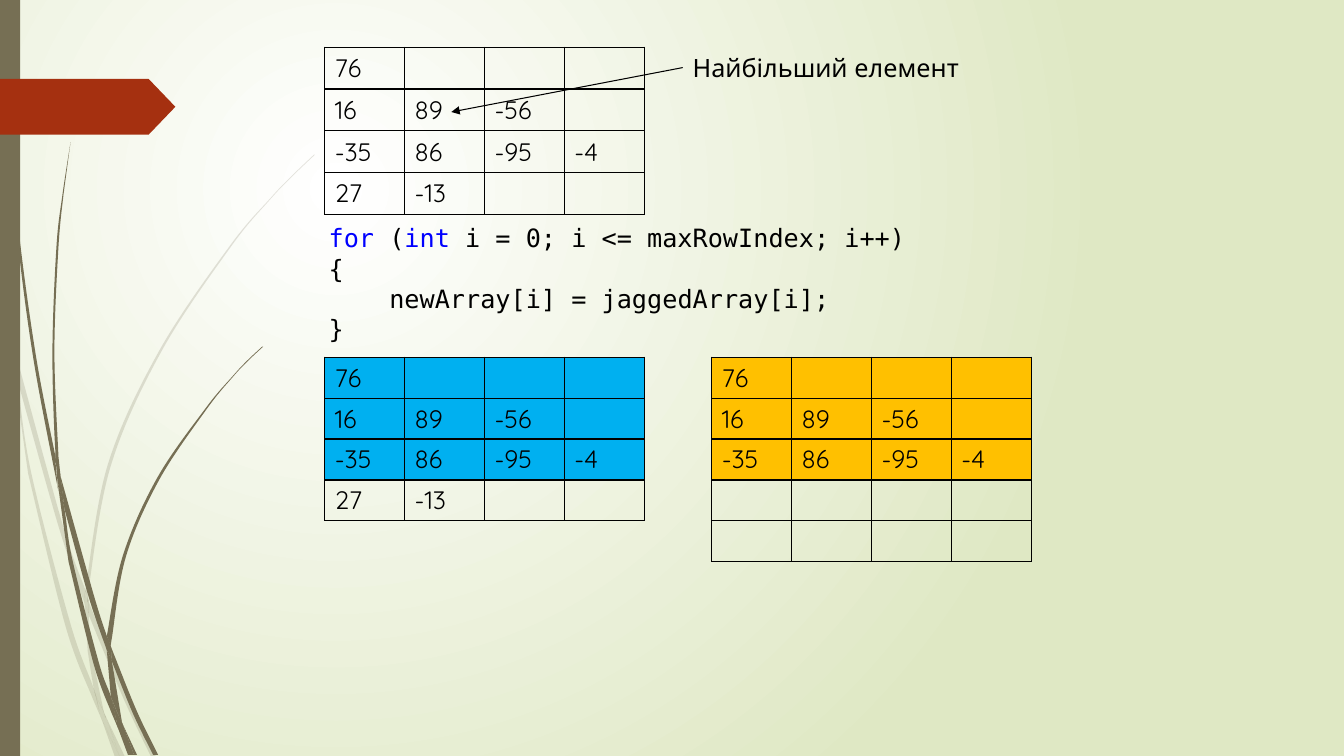
from lxml.etree import SubElement
from pptx import Presentation
from pptx.dml.color import RGBColor
from pptx.enum.shapes import MSO_CONNECTOR as CONN, MSO_SHAPE as SHAPE
from pptx.enum.text import MSO_ANCHOR as ANCHOR, MSO_AUTO_SIZE as AUTO
from pptx.oxml.ns import qn
from pptx.util import Pt

COLORS = {"black": "000000", "keyword": "0000FF", "copied": "00B0F0",
          "pasted": "FFC000", "stem": "766F54", "tag": "A53010",
          "bg_center": "FFFFFF", "bg_edge": "DFE8C4"}
FONT, MONO = "Quicksand", "DejaVu Sans Mono"

JAGGED = [["76"], ["16", "89", "-56"], ["-35", "86", "-95", "-4"], ["27", "-13"]]
COPIED_ROWS = 3
# rows, left, top, row height, fill of the copied rows
TABLES = [
    (JAGGED, 232, 33.8, 29.8, None),
    (JAGGED, 232, 255.2, 29.2, "copied"),
    (JAGGED[:COPIED_ROWS] + [[], []], 508.4, 255.2, 29.2, "pasted"),
]
COLUMNS, COLUMN_WIDTH = 4, 57.06

LABEL = "Найбільший елемент"
# indent level, then runs of text and colour
CODE = [
    (0, [("for ", "keyword"), ("(", "black"), ("int ", "keyword"),
         ("i = 0; i <= maxRowIndex; i++)", "black")]),
    (0, [("{", "black")]),
    (1, [("newArray[i] = jaggedArray[i];", "black")]),
    (0, [("}", "black")]),
]
CODE_INDENT = 43.35

GRASS_UNIT = 0.72  # points per grid step of the blades below
# each blade part is two smooth edges, there and back
PALE_BLADES = [
    ([(0, 282), (9, 322), (11, 350)], [(10, 344), (0, 299)]),
    ([(14, 345), (62, 520), (85, 586)], [(84, 599), (58, 522), (17, 376)]),
    ([(88, 596), (92, 607), (127, 692), (155, 751)], [(150, 751), (123, 694), (88, 610)]),
    ([(105, 711), (124, 751)], [(119, 751)]),
    ([(11, 350), (17, 376), (31, 469), (70, 619), (93, 683), (99, 707), (101, 714)],
     [(92, 693), (65, 621), (28, 470)]),
    ([(84, 599), (88, 608), (88, 610), (91, 646), (103, 706), (105, 711)],
     [(96, 692), (93, 683), (87, 646)]),
    ([(312, 153), (289, 175), (268, 197), (228, 244), (158, 348), (107, 461), (85, 584), (85, 586)],
     [(88, 596), (88, 584), (110, 462), (160, 349), (229, 245), (268, 198), (290, 175), (312, 154)]),
    ([(101, 714), (114, 751)], [(119, 751)]),
    ([(85, 586), (88, 596), (88, 610)], [(88, 608), (84, 599)]),
    ([(93, 683), (96, 692), (105, 711), (119, 751)], [(101, 714), (99, 707)]),
]
DARK_BLADES = [
    ([(3, 0), (4, 48), (7, 110), (17, 233), (33, 355), (56, 477), (57, 481)],
     [(55, 457), (55, 453), (36, 355), (19, 232), (8, 109), (5, 48), (4, 0)]),
    ([(60, 472), (93, 590), (106, 631)], [(106, 645), (88, 592), (64, 505)]),
    ([(110, 641), (113, 649), (136, 706), (157, 749)], [(152, 749), (132, 708), (111, 656)]),
    ([(57, 477), (64, 505), (72, 556), (98, 657), (110, 691), (116, 717), (117, 722)],
     [(111, 708), (93, 659), (68, 557)]),
    ([(70, 141), (62, 193), (56, 245), (52, 349), (55, 449), (60, 472)],
     [(58, 453), (54, 349), (58, 245), (63, 193)]),
    ([(122, 719), (136, 749)], [(133, 749)]),
    ([(55, 449), (60, 472), (64, 505)], [(57, 477), (55, 453)]),
    ([(260, 344), (245, 358), (231, 373), (204, 405), (156, 474), (122, 551), (106, 631)],
     [(110, 641), (111, 633), (125, 552), (158, 476), (205, 406), (231, 374), (245, 359), (261, 344)]),
    ([(117, 722), (131, 749)], [(127, 749)]),
    ([(106, 645), (109, 651), (111, 656), (121, 716), (122, 719)], [(116, 706), (110, 691)]),
    ([(106, 631), (110, 641), (111, 656)], [(109, 651), (106, 645)]),
    ([(110, 691), (116, 706), (122, 719), (133, 749)], [(130, 749), (117, 722), (116, 717)]),
]


def rgb(name):
    return RGBColor.from_string(COLORS[name])


def style_font(font, face=FONT, color="black"):
    for key, value in {"size": Pt(18), "name": face}.items():
        setattr(font, key, value)
    font.color.rgb = rgb(color)


def paint(sp, color, opacity=100):
    sp.shadow.inherit = False
    sp.fill.solid()
    sp.fill.fore_color.rgb = rgb(color)
    sp.line.fill.background()
    if opacity < 100:
        clr = sp.fill._xPr.find(qn("a:solidFill"))[0]
        SubElement(clr, qn("a:alpha"), val=str(opacity * 1000))


def bend(line, a, b, c, d):
    """Turn the line from b to c into a curve that heads from a and on to d."""
    line.tag = qn("a:cubicBezTo")
    end = line[0]
    for p, q, r in ((b, a, c), (c, d, b)):
        x, y = (round(m + (n - k) / 6) for m, k, n in zip(p, q, r))
        end.addprevious(end.makeelement(qn("a:pt"), {"x": str(x), "y": str(y)}))


def add_blade(s, edges, opacity):
    edges = [[(Pt(x * GRASS_UNIT), Pt(y * GRASS_UNIT)) for x, y in edge] for edge in edges]
    outline = edges[0] + edges[1]
    builder = s.shapes.build_freeform(*outline[0])
    builder.add_line_segments(outline[1:], close=True)
    sp = builder.convert_to_shape()
    paint(sp, "stem", opacity)
    lines = list(sp._element.iter(qn("a:lnTo")))
    first = 0
    for edge in edges:
        local = [(x - sp.left, y - sp.top) for x, y in edge]
        padded = [local[0], *local, local[-1]]
        for i, four in enumerate(zip(padded, padded[1:], padded[2:], padded[3:])):
            bend(lines[first + i], *four)
        first += len(edge)


def set_background(s):
    fill = s.background.fill
    fill.gradient()
    for stop, (pos, name) in zip(fill.gradient_stops, [(0, "bg_center"), (1, "bg_edge")]):
        stop.color.rgb = rgb(name)
        stop.position = pos
    grad = fill._xPr.find(qn("a:gradFill"))
    linear = grad.find(qn("a:lin"))
    if linear is not None:
        grad.remove(linear)
    circle = SubElement(grad, qn("a:path"), path="circle")
    SubElement(circle, qn("a:fillToRect"), l="50000", t="50000", r="100000", b="100000")


def add_borders(cell):
    tcPr = cell._tc.get_or_add_tcPr()
    for side in ("lnL", "lnR", "lnT", "lnB"):
        ln = SubElement(tcPr, qn(f"a:{side}"), w=str(Pt(1)))
        solid = SubElement(ln, qn("a:solidFill"))
        SubElement(solid, qn("a:srgbClr"), val=COLORS["black"])


def add_array(s, rows, left, top, row_height, color):
    table = s.shapes.add_table(len(rows), COLUMNS, Pt(left), Pt(top), Pt(COLUMNS * COLUMN_WIDTH),
                               Pt(len(rows) * row_height)).table
    table.first_row = table.horz_banding = False
    for col in table.columns:
        col.width = Pt(COLUMN_WIDTH)
    for r, values in enumerate(rows):
        table.rows[r].height = Pt(row_height)
        for c in range(COLUMNS):
            cell = table.cell(r, c)
            add_borders(cell)
            cell.margin_top = cell.margin_bottom = Pt(3)
            cell.vertical_anchor = ANCHOR.MIDDLE
            if color and r < COPIED_ROWS:
                cell.fill.solid()
                cell.fill.fore_color.rgb = rgb(color)
            else:
                cell.fill.background()
            p = cell.text_frame.paragraphs[0]
            if c < len(values):
                run = p.add_run()
                run.text = values[c]
                style_font(run.font)
            else:
                style_font(p.font)


def add_label(s):
    sp = s.shapes.add_textbox(Pt(487.7), Pt(33.8), Pt(209.5), Pt(29))
    tf = sp.text_frame
    tf.word_wrap, tf.auto_size = False, AUTO.SHAPE_TO_FIT_TEXT
    r = tf.paragraphs[0].add_run()
    r.text = LABEL
    style_font(r.font)
    return sp


def add_arrow(s, label):
    arrow = s.shapes.add_connector(CONN.STRAIGHT, Pt(487.7), Pt(48.3), Pt(322.4), Pt(80))
    arrow.begin_connect(label, 1)
    arrow.line.color.rgb = rgb("black")
    arrow.line.width = Pt(0.75)
    SubElement(arrow.line._get_or_add_ln(), qn("a:tailEnd"), type="triangle")
    SubElement(arrow._element.spPr, qn("a:effectLst"))


def add_code(s):
    tf = s.shapes.add_textbox(Pt(216.7), Pt(155.5), Pt(480), Pt(94.5)).text_frame
    tf.word_wrap, tf.margin_left = True, Pt(18)
    for i, (level, runs) in enumerate(CODE):
        p = tf.add_paragraph() if i else tf.paragraphs[0]
        p._p.get_or_add_pPr().set("marL", str(Pt(level * CODE_INDENT)))
        for text, color in runs:
            r = p.add_run()
            r.text = text
            style_font(r.font, MONO, color)


prs = Presentation()
prs.slide_width, prs.slide_height = Pt(960), Pt(540)
s = prs.slides.add_slide(prs.slide_layouts[6])
set_background(s)
for blades, opacity in ((PALE_BLADES, 20), (DARK_BLADES, 100)):
    for edges in blades:
        add_blade(s, edges, opacity)
paint(s.shapes.add_shape(SHAPE.RECTANGLE, 0, 0, Pt(14.4), Pt(540)), "stem")
tag = s.shapes.add_shape(SHAPE.PENTAGON, 0, Pt(56.4), Pt(125.3), Pt(39.8))
tag.adjustments[0] = 0.48
paint(tag, "tag")
for array in TABLES:
    add_array(s, *array)
add_arrow(s, add_label(s))
add_code(s)
prs.save("out.pptx")
